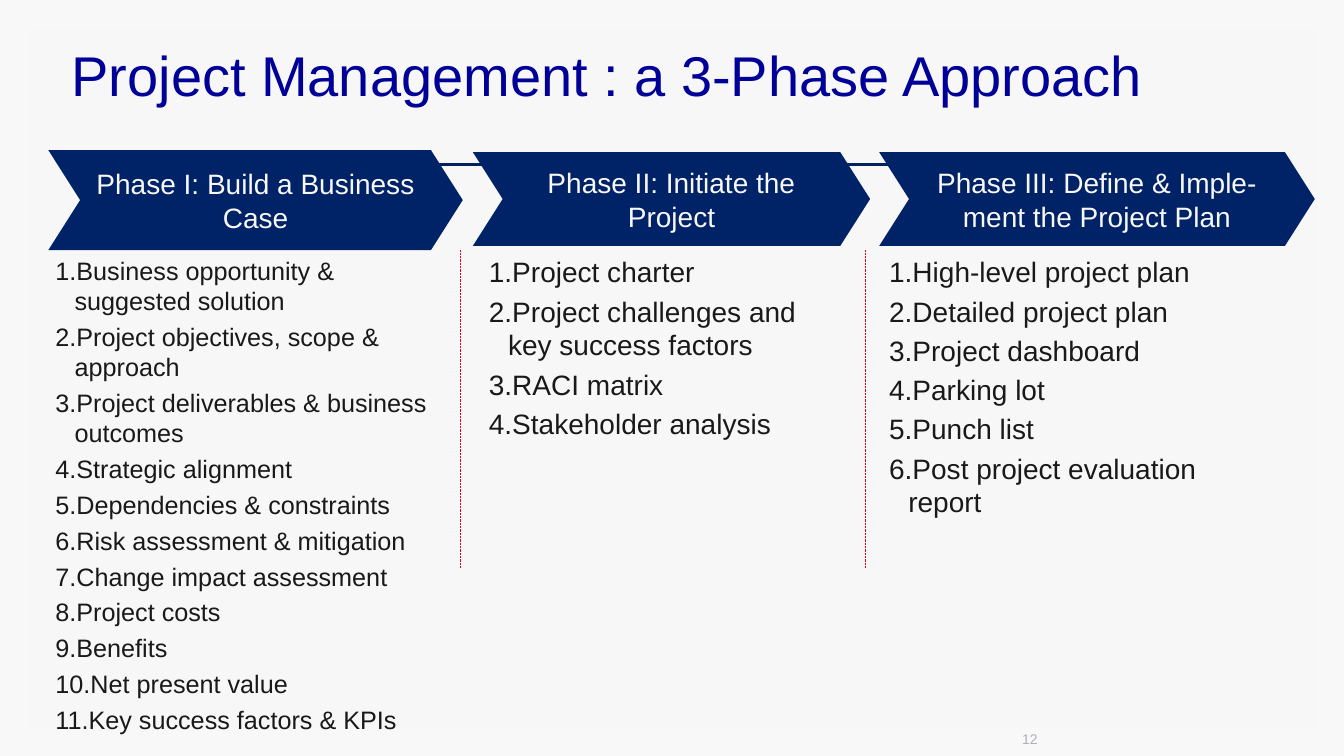
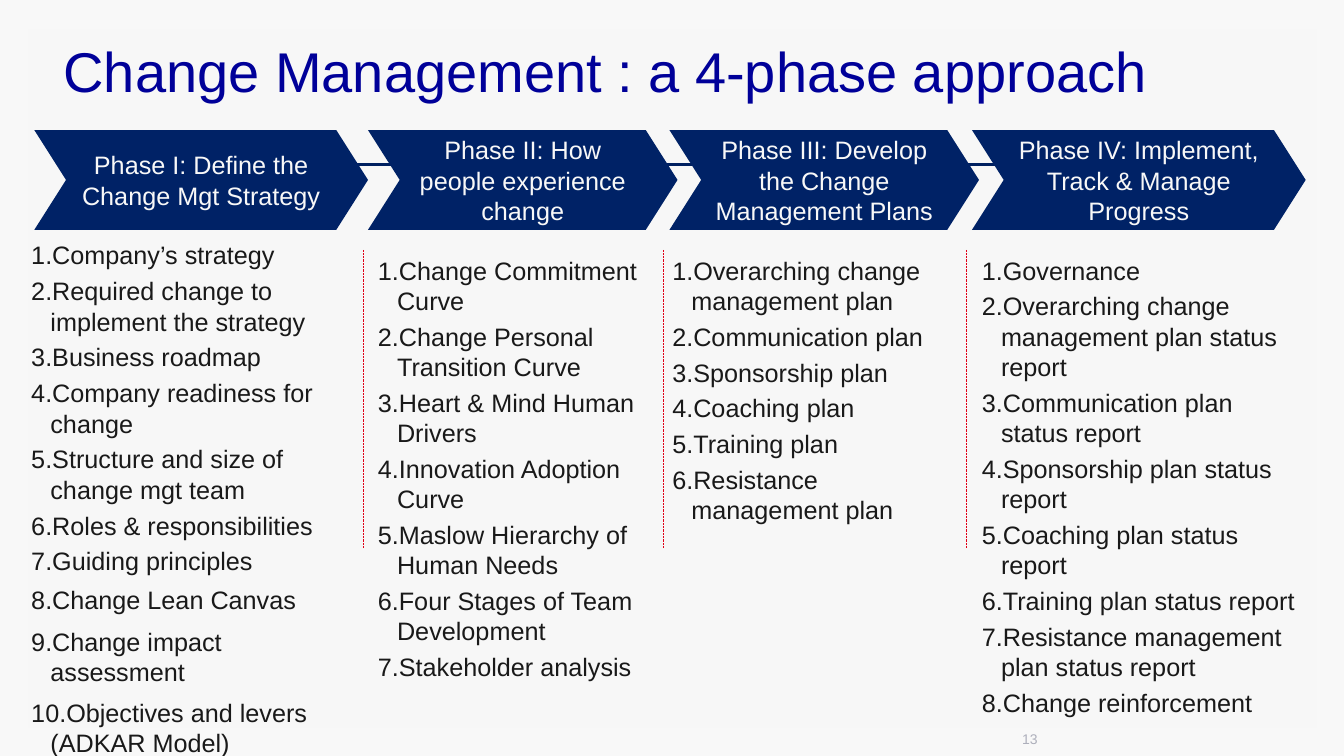
import pptx
import pptx.util
import pptx.dml.color
import pptx.enum.dml
import pptx.enum.shapes
import pptx.enum.text
import pptx.oxml.ns
import lxml.etree

Inches = pptx.util.Inches
Pt = pptx.util.Pt
ALIGN = pptx.enum.text.PP_ALIGN
ANCHOR = pptx.enum.text.MSO_ANCHOR


def rgb(value):
    return pptx.dml.color.RGBColor.from_string(value)


def add_child(parent, tag, **attributes):
    return lxml.etree.SubElement(parent, pptx.oxml.ns.qn(tag), attributes)


class Deck:
    """Holds the shared style and the slide being filled."""

    FONT = "Arial"
    BACKGROUND, PANEL, RULE = "F8F8F8", "F7F7F7", "002060"
    TITLE, PHASE, PHASE_TEXT = "000099", "002266", "F8F8F8"
    BODY, DIVIDER, NUMBER = "191919", "E00016", "ADAFBB"
    HANG = 0.19

    def __init__(self):
        self.prs = pptx.Presentation()
        self.prs.slide_width = Inches(13.33)
        self.prs.slide_height = Inches(7.5)
        self.layout = self.prs.slide_layouts.get_by_name("Title Only")
        fill = self.prs.slide_master.background.fill
        fill.solid()
        fill.fore_color.rgb = rgb(self.BACKGROUND)
        self.slide = None

    def add_slide(self, title, left, top, number):
        first = self.slide is None
        self.slide = self.prs.slides.add_slide(self.layout)
        if first:
            self.fill_layout()
        self.title(title, left, top)
        self.page_number(number)

    def fill_layout(self):
        """Draw the panel and the rule, then move both to the layout."""
        panel = self.shape(pptx.enum.shapes.MSO_SHAPE.RECTANGLE,
                           (0.28, 0.29, 12.78, 6.93), self.PANEL)
        rule = self.line((0.66, 1.63), (12.67, 1.63), self.RULE, 2)
        for sp in (panel, rule):
            self.layout.shapes.element.append(sp.element)

    def shape(self, kind, box, color):
        sp = self.slide.shapes.add_shape(kind, *map(Inches, box))
        sp.shadow.inherit = False
        sp.fill.solid()
        sp.fill.fore_color.rgb = rgb(color)
        sp.line.fill.background()
        return sp

    def line(self, start, end, color, width):
        sp = self.slide.shapes.add_connector(
            pptx.enum.shapes.MSO_CONNECTOR.STRAIGHT, *map(Inches, start + end))
        sp.line.color.rgb = rgb(color)
        sp.line.width = Pt(width)
        add_child(sp.element.spPr, "a:effectLst")
        return sp

    def frame(self, sp, insets=(0.1, 0.05, 0.1, 0.05), anchor=ANCHOR.MIDDLE):
        tf = sp.text_frame
        tf.word_wrap = True
        tf.auto_size = pptx.enum.text.MSO_AUTO_SIZE.NONE
        tf.vertical_anchor = anchor
        (tf.margin_left, tf.margin_top,
         tf.margin_right, tf.margin_bottom) = map(Inches, insets)
        return tf

    def fill_paragraph(self, p, text, size, color, align=ALIGN.LEFT, gap=0):
        p.text = text
        p.alignment = align
        p.space_before = p.space_after = Pt(gap)
        for r in p.runs:
            r.font.name = self.FONT
            r.font.size = Pt(size)
            r.font.color.rgb = rgb(color)

    def title(self, text, left, top):
        sp = self.slide.shapes.title
        sp.left, sp.top, sp.width, sp.height = map(Inches, (left, top, 12.11, 1.19))
        self.fill_paragraph(self.frame(sp).paragraphs[0], text, 40, self.TITLE)

    def page_number(self, number):
        sp = self.slide.shapes.add_textbox(*map(Inches, (10.04, 7.25, 3, 0.21)))
        tf = self.frame(sp, (0.1, 0, 0, 0.05))
        self.fill_paragraph(tf.paragraphs[0], str(number), 10, self.NUMBER)

    def phase(self, text, box, size):
        sp = self.shape(pptx.enum.shapes.MSO_SHAPE.CHEVRON, box, self.PHASE)
        sp.adjustments[0] = 0.318
        tf = self.frame(sp, (0.08, 0.05, 0.08, 0.05))
        self.fill_paragraph(tf.paragraphs[0], text, size, self.PHASE_TEXT,
                            ALIGN.CENTER, 6)

    def divider(self, x, bottom):
        sp = self.line((x, 2.48), (x, bottom), self.DIVIDER, 0.5)
        sp.line.dash_style = pptx.enum.dml.MSO_LINE.ROUND_DOT

    def numbered_list(self, items, box, size, inset=0.1, loose_from=None):
        """Number the items; those from index loose_from on are spaced wider."""
        sp = self.slide.shapes.add_textbox(*map(Inches, box))
        tf = self.frame(sp, (inset, 0.05, 0.1, 0.05), ANCHOR.TOP)
        for i, item in enumerate(items):
            p = tf.add_paragraph() if i else tf.paragraphs[0]
            loose = loose_from is not None and i >= loose_from
            self.fill_paragraph(p, item, size, self.BODY, gap=4 if loose else 2)
            pPr = p._p.get_or_add_pPr()
            pPr.set("marL", str(Inches(self.HANG)))
            pPr.set("indent", str(-Inches(self.HANG)))
            add_child(pPr, "a:buFont", typeface="+mj-lt")
            add_child(pPr, "a:buAutoNum", type="arabicPeriod")


def project_slide(deck):
    deck.add_slide("Project Management : a 3-Phase Approach", 0.61, 0.14, 12)
    deck.phase("Phase I: Build a Business Case", (0.48, 1.49, 4.11, 0.99), 20)
    deck.phase("Phase II: Initiate the Project", (4.69, 1.51, 3.94, 0.93), 20)
    deck.phase("Phase III: Define & Imple-ment the Project Plan",
               (8.72, 1.51, 4.32, 0.93), 20)
    for x in (4.57, 8.58):
        deck.divider(x, 5.63)
    deck.numbered_list([
        "Business opportunity & suggested solution",
        "Project objectives, scope & approach",
        "Project deliverables & business outcomes",
        "Strategic alignment",
        "Dependencies & constraints",
        "Risk assessment & mitigation",
        "Change impact assessment",
        "Project costs",
        "Benefits",
        "Net present value",
        "Key success factors & KPIs",
    ], (0.55, 2.48, 3.9, 4.9), 18, inset=0)
    deck.numbered_list([
        "Project charter",
        "Project challenges and key success factors",
        "RACI matrix",
        "Stakeholder analysis",
    ], (4.75, 2.48, 3.71, 2.92), 20)
    deck.numbered_list([
        "High-level project plan",
        "Detailed project plan",
        "Project dashboard",
        "Parking lot",
        "Punch list",
        "Post project evaluation report",
    ], (8.72, 2.48, 3.77, 3.22), 20)


def change_slide(deck):
    deck.add_slide("Change Management : a 4-phase approach", 0.53, 0.1, 13)
    for text, left, width in (
        ("Phase I: Define the Change Mgt Strategy", 0.34, 3.31),
        ("Phase II: How people experience change", 3.65, 3.07),
        ("Phase III: Develop the Change Management Plans", 6.64, 3.07),
        ("Phase IV: Implement, Track & Manage Progress", 9.64, 3.31),
    ):
        deck.phase(text, (left, 1.29, width, 0.99), 18)
    for x in (3.6, 6.58, 9.58):
        deck.divider(x, 5.43)
    deck.numbered_list([
        "Company’s strategy",
        "Required change to implement the strategy",
        "Business roadmap",
        "Company readiness for change",
        "Structure and size of change mgt team",
        "Roles & responsibilities",
        "Guiding principles",
        "Change Lean Canvas",
        "Change impact assessment",
        "Objectives and levers (ADKAR Model)",
    ], (0.31, 2.33, 3.31, 5.17), 18, inset=0, loose_from=7)
    deck.numbered_list([
        "Change Commitment Curve",
        "Change Personal Transition Curve",
        "Heart & Mind Human Drivers",
        "Innovation Adoption Curve",
        "Maslow Hierarchy of Human Needs",
        "Four Stages of Team Development",
        "Stakeholder analysis",
    ], (3.65, 2.48, 2.96, 4.73), 18)
    deck.numbered_list([
        "Overarching change management plan",
        "Communication plan",
        "Sponsorship plan",
        "Coaching plan",
        "Training plan",
        "Resistance management plan",
    ], (6.57, 2.48, 2.96, 2.8), 18)
    deck.numbered_list([
        "Governance",
        "Overarching change management plan status report",
        "Communication plan status report",
        "Sponsorship plan status report",
        "Coaching plan status report",
        "Training plan status report",
        "Resistance management plan status report",
        "Change reinforcement",
    ], (9.64, 2.48, 3.4, 4.73), 18)


def main():
    deck = Deck()
    project_slide(deck)
    change_slide(deck)
    deck.prs.save("out.pptx")


if __name__ == "__main__":
    main()
